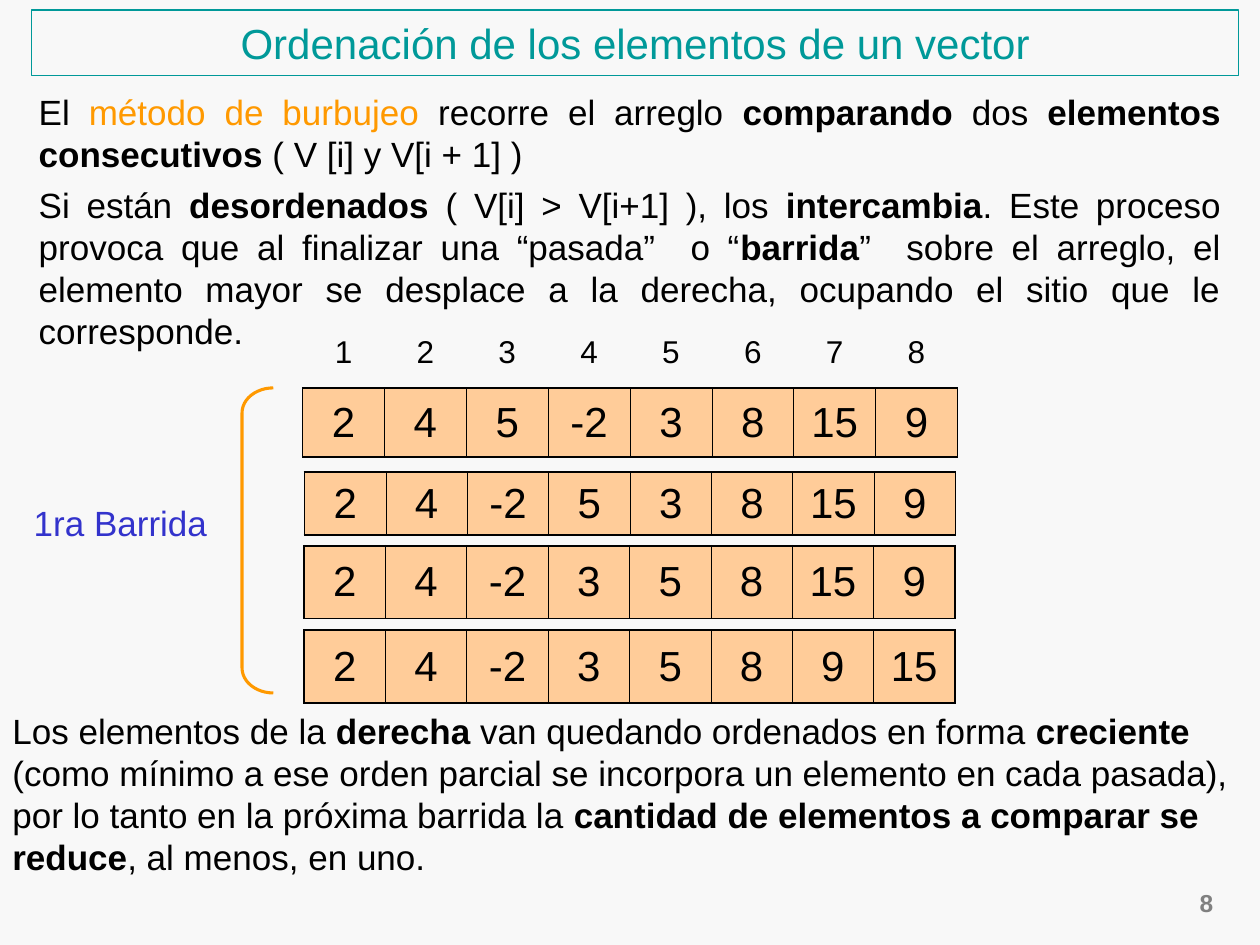
from lxml import etree
from pptx import Presentation
from pptx.dml.color import RGBColor
from pptx.enum.shapes import MSO_SHAPE
from pptx.enum.text import MSO_ANCHOR, PP_ALIGN
from pptx.oxml.ns import qn
from pptx.util import Cm, Pt

RECT = MSO_SHAPE.RECTANGLE
BRACKET = MSO_SHAPE.LEFT_BRACKET
MIDDLE = MSO_ANCHOR.MIDDLE
LEFT, CENTER, RIGHT, JUSTIFY = PP_ALIGN.LEFT, PP_ALIGN.CENTER, PP_ALIGN.RIGHT, PP_ALIGN.JUSTIFY
PLAIN_STYLE = "{2D5ABB26-0587-4C30-8999-92F81FD0307C}"
COLORS = {
    "back": "F8F8F8", "teal": "009999", "black": "000000", "orange": "FF9900",
    "peach": "FFCC99", "blue": "3333CC", "gray": "808080",
}
RGB = {name: RGBColor.from_string(code) for name, code in COLORS.items()}


def style(par, size, color="black", align=LEFT, before=0):
    par.alignment = align
    par.space_before = Pt(before)
    for run in par.runs:
        run.font.name = "Arial"
        run.font.size = Pt(size)
        run.font.color.rgb = RGB[color]


def add_text(left, top, width, height, pars, size, color="black", align=LEFT, before=0):
    frame = slide.shapes.add_textbox(Cm(left), Cm(top), Cm(width), Cm(height)).text_frame
    frame.word_wrap = True
    for i, text in enumerate(pars):
        par = frame.paragraphs[0] if i == 0 else frame.add_paragraph()
        for j, part in enumerate(text.split("*")):
            run = par.add_run()
            run.text = part
            run.font.bold = j % 2 == 1
        style(par, size, color, align, before)
    return frame


deck = Presentation()
deck.slide_width, deck.slide_height = Cm(25.4), Cm(19.05)
slide = deck.slides.add_slide(deck.slide_layouts[6])
slide.background.fill.solid()
slide.background.fill.fore_color.rgb = RGB["back"]

number = add_text(23.06, 17.78, 1.65, 0.86, ["8"], 14, "gray", RIGHT)
number.paragraphs[0].runs[0].font.bold = True

title = slide.shapes.add_shape(RECT, Cm(0.64), Cm(0.2), Cm(24.33), Cm(1.32))
title.shadow.inherit = False
title.fill.background()
title.line.color.rgb = RGB["teal"]
title.line.width = Pt(0.75)
title.text_frame.text = "Ordenación de los elementos de un vector"
title.text_frame.vertical_anchor = MIDDLE
style(title.text_frame.paragraphs[0], 24, "teal", CENTER)

method = "método de burbujeo"
intro = add_text(0.53, 1.7, 24.33, 5.51, [
    f"El **{method}** recorre el arreglo *comparando* dos "
    "*elementos consecutivos* ( V [i] y V[i + 1] )",
    "Si están *desordenados* ( V[i] > V[i+1] ), los *intercambia*. Este proceso "
    "provoca que al finalizar una “pasada”  o “*barrida*”  sobre el arreglo, el "
    "elemento mayor se desplace a la derecha, ocupando el sitio que le corresponde. ",
], 20, align=JUSTIFY, before=5)
for run in intro.paragraphs[0].runs:
    if run.text == method:
        run.font.color.rgb = RGB["orange"]

grids = [
    (6.1, 6.55, 1.65, 1.12, range(1, 9)),
    (6.1, 7.82, 1.65, 1.4, [2, 4, 5, -2, 3, 8, 15, 9]),
    (6.14, 9.52, 1.64, 1.27, [2, 4, -2, 5, 3, 8, 15, 9]),
    (6.13, 11, 1.64, 1.47, [2, 4, -2, 3, 5, 8, 15, 9]),
    (6.13, 12.7, 1.64, 1.47, [2, 4, -2, 3, 5, 8, 9, 15]),
]
for row, (left, top, width, height, values) in enumerate(grids):
    count = len(values)
    frame = slide.shapes.add_table(1, count, Cm(left), Cm(top), Cm(width * count), Cm(height))
    table = frame.table
    table.first_row = table.horz_banding = False
    table._tbl.tblPr.find(qn("a:tableStyleId")).text = PLAIN_STYLE
    for col, value in enumerate(values):
        table.columns[col].width = Cm(width)
        cell = table.cell(0, col)
        cell.text = str(value)
        cell.vertical_anchor = MIDDLE
        par = cell.text_frame.paragraphs[0]
        if row == 0:
            cell.fill.background()
            style(par, 18, align=CENTER, before=4.5)
            continue
        style(par, 24, align=CENTER, before=6)
        edges = {
            "L": 1.08 if col == 0 else 0.45,
            "R": 1.08 if col == count - 1 else 0.45,
            "T": 1.08,
            "B": 1.08,
        }
        props = cell._tc.get_or_add_tcPr()
        for side, weight in edges.items():
            line = etree.SubElement(props, qn(f"a:ln{side}"), w=str(Pt(weight)))
            fill = etree.SubElement(line, qn("a:solidFill"))
            etree.SubElement(fill, qn("a:srgbClr"), val=COLORS["black"])
        cell.fill.solid()
        cell.fill.fore_color.rgb = RGB["peach"]

brace = slide.shapes.add_shape(BRACKET, Cm(4.88), Cm(7.82), Cm(0.63), Cm(6.15))
brace.adjustments[0] = 0.8
brace.shadow.inherit = False
brace.fill.background()
brace.line.color.rgb = RGB["orange"]
brace.line.width = Pt(1.75)

label = add_text(0.43, 10.36, 4.5, 0.69, ["1ra Barrida"], 20, "blue", before=12.5)
label.paragraphs[0].line_spacing = 0.5

add_text(0, 14.17, 25.4, 3.66, [
    "Los elementos de la *derecha* van quedando ordenados en forma *creciente* "
    "(como mínimo a ese orden parcial se incorpora un elemento en cada pasada), "
    "por lo tanto en la próxima barrida la *cantidad de elementos a comparar se "
    "reduce*, al menos, en uno.",
], 20, before=12.5)

deck.save("out.pptx")
